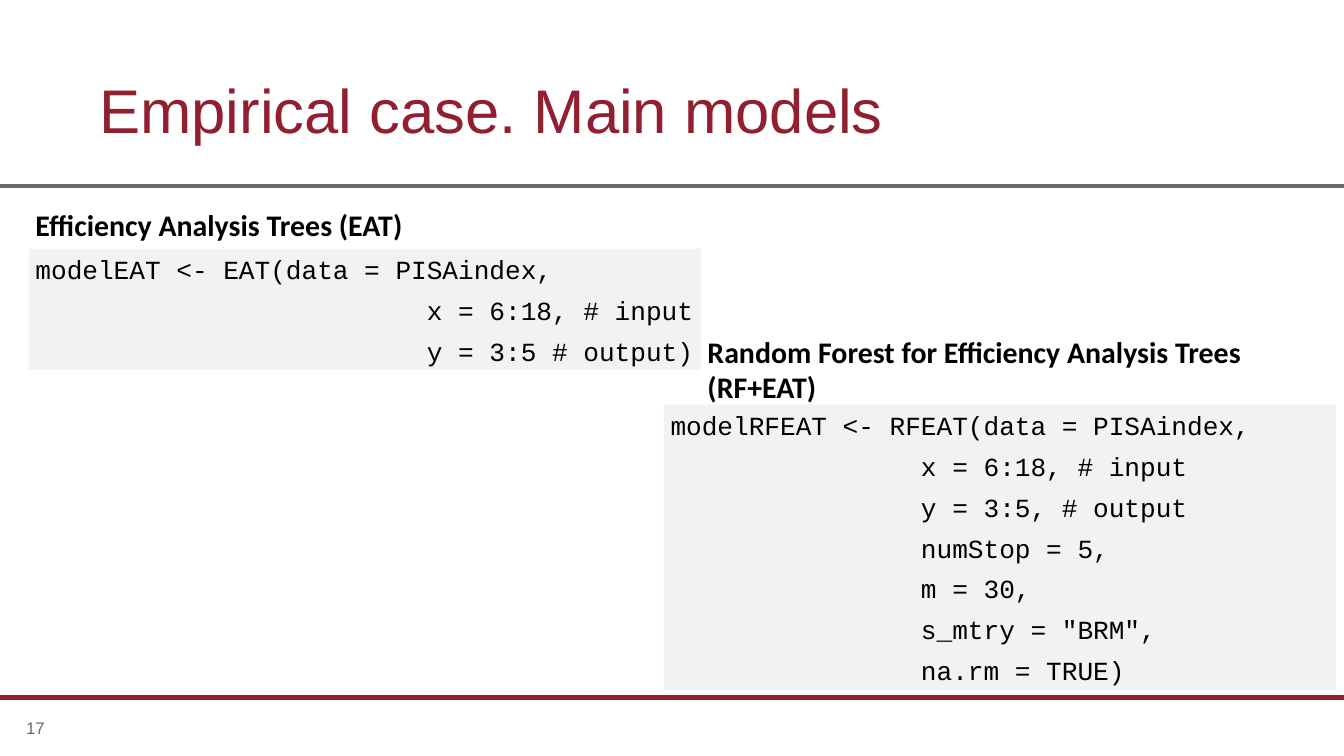
"""Build the slide on the main models of the empirical case."""
from lxml import etree
from pptx import Presentation
from pptx.dml.color import RGBColor
from pptx.enum.shapes import MSO_CONNECTOR, MSO_SHAPE
from pptx.enum.text import MSO_ANCHOR, PP_ALIGN
from pptx.oxml.ns import qn
from pptx.util import Inches, Pt

LINE, RECT = MSO_CONNECTOR.STRAIGHT, MSO_SHAPE.RECTANGLE
TOP, MID = MSO_ANCHOR.TOP, MSO_ANCHOR.MIDDLE
LEFT, JUST = PP_ALIGN.LEFT, PP_ALIGN.JUSTIFY

THEME = {
    "red": RGBColor(0x92, 0x1F, 0x30),
    "gray": RGBColor(0x63, 0x6B, 0x6F),
    "pale": RGBColor(0xF2, 0xF2, 0xF2),
    "black": RGBColor(0, 0, 0),
    "title": {"name": "Arial", "size": Pt(66)},
    "page": {"name": "Arial", "size": Pt(18)},
    "head": {"name": "Calibri", "size": Pt(32), "bold": True},
    "code": {"name": "Courier New", "size": Pt(28)},
}
FORM = {
    "title": {"alignment": LEFT, "line_spacing": 0.9},
    "page": {"alignment": LEFT},
    "head": {"alignment": LEFT},
    "code": {"alignment": JUST, "line_spacing": 1.06, "space_after": Pt(8)},
}

deck = Presentation()
deck.slide_width, deck.slide_height = Inches(20), Inches(11.25)
COL, ROW = deck.slide_width / 200, deck.slide_height / 112.5
slide = deck.slides.add_slide(deck.slide_layouts[6])
shapes = slide.shapes


def grid(x, y, wide, high):
    return int(x * COL), int(y * ROW), int(wide * COL), int(high * ROW)


def write(shape, lines, kind, tint, anchor=TOP):
    frame = shape.text_frame
    for key, val in {"word_wrap": True, "vertical_anchor": anchor}.items():
        setattr(frame, key, val)
    for spot, line in enumerate(lines):
        para = frame.add_paragraph() if spot else frame.paragraphs[0]
        for key, val in FORM[kind].items():
            setattr(para, key, val)
        run = para.add_run()
        run.text = line
        for key, val in THEME[kind].items():
            setattr(run.font, key, val)
        run.font.color.rgb = THEME[tint]


for y, tint, thick in [(103.8, "red", 6), (27.7, "gray", 4.5)]:
    left, top, wide, _ = grid(0, y, 200, 0)
    rule = shapes.add_connector(LINE, left, top, wide, top)
    rule.line.color.rgb = THEME[tint]
    rule.line.width = Pt(thick)
    etree.SubElement(rule.element.spPr, qn("a:effectLst"))

MODELS = [
    ((4.3, 37, 100, 18), 0, [
        "modelEAT <- EAT(data = PISAindex,",
        "                         x = 6:18, # input",
        "                         y = 3:5 # output)",
    ]),
    ((98.8, 60.2, 100, 42.5), 0, [
        "modelRFEAT <- RFEAT(data = PISAindex,",
        "                x = 6:18, # input",
        "                y = 3:5, # output",
        "                numStop = 5,",
        "                m = 30,",
        '                s_mtry = "BRM",',
        "                na.rm = TRUE)",
    ]),
]
for place, edge, lines in MODELS:
    box = shapes.add_shape(RECT, *grid(*place))
    box.shadow.inherit = False
    box.fill.solid()
    box.fill.fore_color.rgb = THEME["pale"]
    box.line.fill.background()
    box.text_frame.margin_right = edge
    write(box, lines, "code", "black")

TEXTS = [
    ((13.8, 6, 172.5, 21.7), "Empirical case. Main models", "title", "red", MID),
    ((2.9, 105.3, 12.4, 6), "17", "page", "gray", MID),
    ((4.3, 30.3, 95.7, 6.4), "Efficiency Analysis Trees (EAT)", "head", "black", TOP),
    ((104.3, 49.1, 91.4, 11.8),
     "Random Forest for Efficiency Analysis Trees (RF+EAT)", "head", "black", TOP),
]
for place, text, kind, tint, anchor in TEXTS:
    write(shapes.add_textbox(*grid(*place)), [text], kind, tint, anchor)

deck.save("out.pptx")
